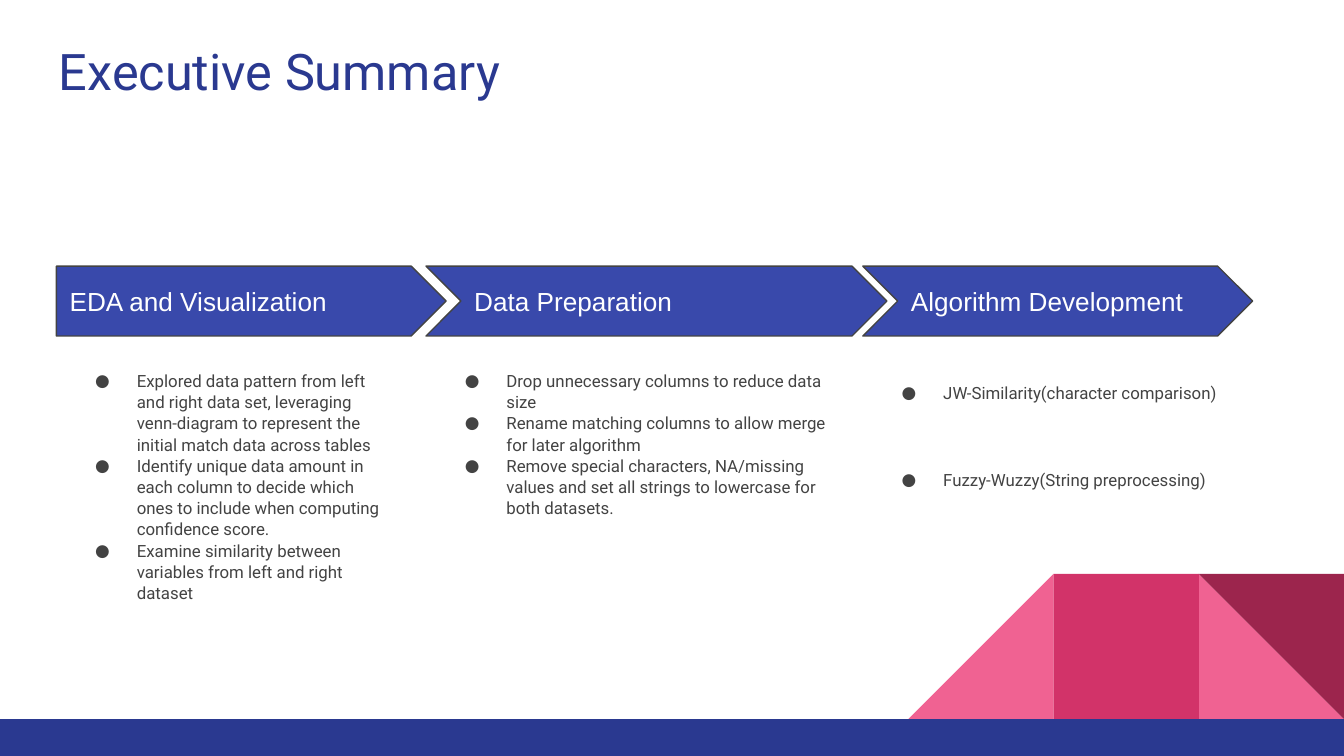
from lxml import etree
from pptx import Presentation
from pptx.dml.color import RGBColor
from pptx.enum.shapes import MSO_SHAPE
from pptx.enum.text import MSO_ANCHOR, PP_ALIGN
from pptx.oxml.ns import qn
from pptx.util import Inches, Pt

RECTANGLE = MSO_SHAPE.RECTANGLE
TRIANGLE = MSO_SHAPE.RIGHT_TRIANGLE
PENTAGON = MSO_SHAPE.PENTAGON
CHEVRON = MSO_SHAPE.CHEVRON
MIDDLE = MSO_ANCHOR.MIDDLE
TOP = MSO_ANCHOR.TOP
LEFT = PP_ALIGN.LEFT

WIDTH = 10
HEIGHT = WIDTH * 9 / 16
NAVY, INDIGO, GRAY, WHITE = "2A3990", "3949AB", "434343", "FFFFFF"
PINK, ROSE, WINE = "F06292", "D23369", "9C254D"
STEP_TOP, STEP_HEIGHT = 1.98, 0.52

STEPS = [
    {
        "heading": "EDA and Visualization", "kind": PENTAGON,
        "left": 0.42, "width": 2.9, "body_width": 2.53, "body_top": 2.65, "gap": 0,
        "bullets": [
            "Explored data pattern from left and right data set, leveraging "
            "venn-diagram to represent the initial match data across tables",
            "Identify unique data amount in each column to decide which ones "
            "to include when computing confidence score.",
            "Examine similarity between variables from left and right dataset",
        ],
    },
    {
        "heading": "Data Preparation", "kind": CHEVRON,
        "left": 3.17, "width": 3.43, "body_width": 3.16, "body_top": 2.65, "gap": 0,
        "bullets": [
            "Drop unnecessary columns to reduce data size",
            "Rename matching columns to allow merge for later algorithm",
            "Remove special characters, NA/missing values and set all strings "
            "to lowercase for both datasets.",
        ],
    },
    {
        "heading": "Algorithm Development", "kind": CHEVRON,
        "left": 6.42, "width": 2.9, "body_width": 2.74, "body_top": 2.74, "gap": 35.5,
        "bullets": [
            "JW-Similarity(character comparison)",
            "Fuzzy-Wuzzy(String preprocessing)",
        ],
    },
]


def color(value):
    return RGBColor.from_string(value)


def add_block(slide, kind, box, fill, line=None):
    shape = slide.shapes.add_shape(kind, *map(Inches, box))
    shape.shadow.inherit = False
    shape.fill.solid()
    shape.fill.fore_color.rgb = color(fill)
    if line:
        shape.line.color.rgb = color(line)
        shape.line.width = Pt(0.75)
    else:
        shape.line.fill.background()
    return shape


def add_bullet(paragraph, font):
    properties = paragraph._p.get_or_add_pPr()
    properties.set("marL", str(Inches(0.5)))
    properties.set("indent", str(Inches(-0.31)))
    etree.SubElement(properties, qn("a:buFont")).set("typeface", font)
    etree.SubElement(properties, qn("a:buChar")).set("char", "●")


def write_text(shape, lines, size, font, ink, anchor=TOP, bullet=False, spacing=1.0, gap=0):
    frame = shape.text_frame
    frame.word_wrap = True
    frame.vertical_anchor = anchor
    frame.margin_left = frame.margin_right = Inches(0.1)
    frame.margin_top = frame.margin_bottom = Inches(0.1)
    for index, line in enumerate(lines):
        paragraph = frame.add_paragraph() if index else frame.paragraphs[0]
        paragraph.alignment = LEFT
        paragraph.line_spacing = spacing
        paragraph.space_before = Pt(gap if index else 0)
        run = paragraph.add_run()
        run.text = line
        run.font.size = Pt(size)
        run.font.name = font
        run.font.color.rgb = color(ink)
        if bullet:
            add_bullet(paragraph, font)


def add_footer(slide, left, top, tile):
    columns = [left + tile * column for column in range(3)]
    tiles = [
        (TRIANGLE, 2, PINK, 0, False),
        (TRIANGLE, 0, PINK, 0, True),
        (RECTANGLE, 1, ROSE, 0, False),
        (TRIANGLE, 2, WINE, 180, False),
    ]
    for kind, column, fill, rotation, mirrored in tiles:
        shape = add_block(slide, kind, (columns[column], top, tile, tile), fill)
        shape.rotation = rotation
        if mirrored:
            shape._element.spPr.get_or_add_xfrm().set("flipH", "1")
    bar_top = top + tile
    add_block(slide, RECTANGLE, (0, bar_top, WIDTH, HEIGHT - bar_top), NAVY)


def add_title(slide, box, text):
    title = slide.shapes.add_textbox(*map(Inches, box))
    write_text(title, [text], size=27, font="Roboto", ink=NAVY)


def add_step(slide, step):
    left = step["left"]
    arrow = add_block(slide, step["kind"], (left, STEP_TOP, step["width"], STEP_HEIGHT), INDIGO, GRAY)
    arrow.adjustments[0] = 0.5
    write_text(arrow, [step["heading"]], size=14, font="Arial", ink=WHITE, anchor=MIDDLE)
    body_box = (left, step["body_top"], step["body_width"], 1.19)
    body = slide.shapes.add_textbox(*map(Inches, body_box))
    write_text(body, step["bullets"], size=9, font="Roboto", ink=GRAY,
               bullet=True, spacing=1.05, gap=step["gap"])


presentation = Presentation()
presentation.slide_width = Inches(WIDTH)
presentation.slide_height = Inches(HEIGHT)
slide = presentation.slides.add_slide(presentation.slide_layouts[6])
slide.background.fill.solid()
slide.background.fill.fore_color.rgb = color(WHITE)
add_footer(slide, left=6.76, top=4.27, tile=1.08)
add_title(slide, (0.34, 0.2, 9.32, 0.66), "Executive Summary")
for step in STEPS:
    add_step(slide, step)
presentation.save("out.pptx")
